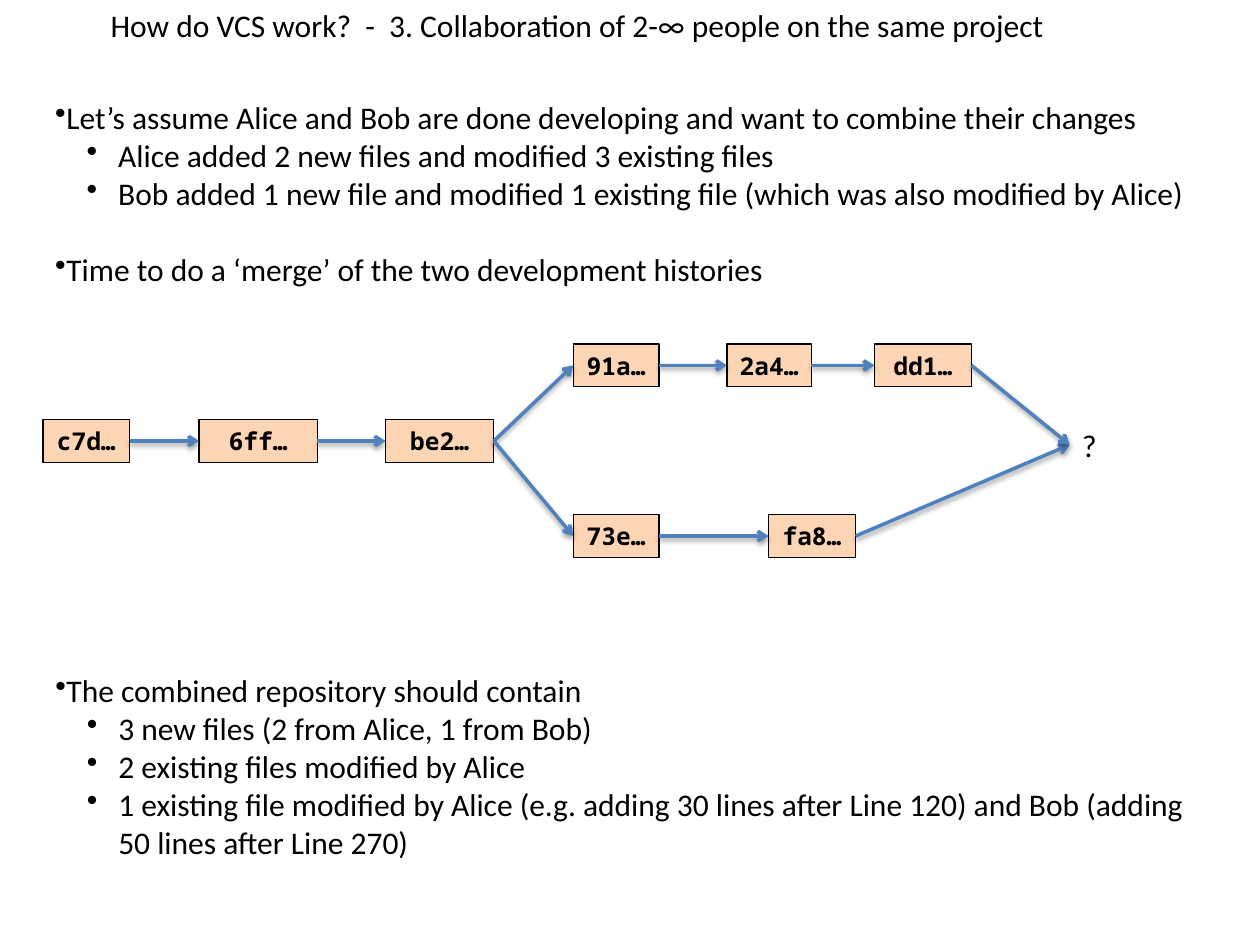
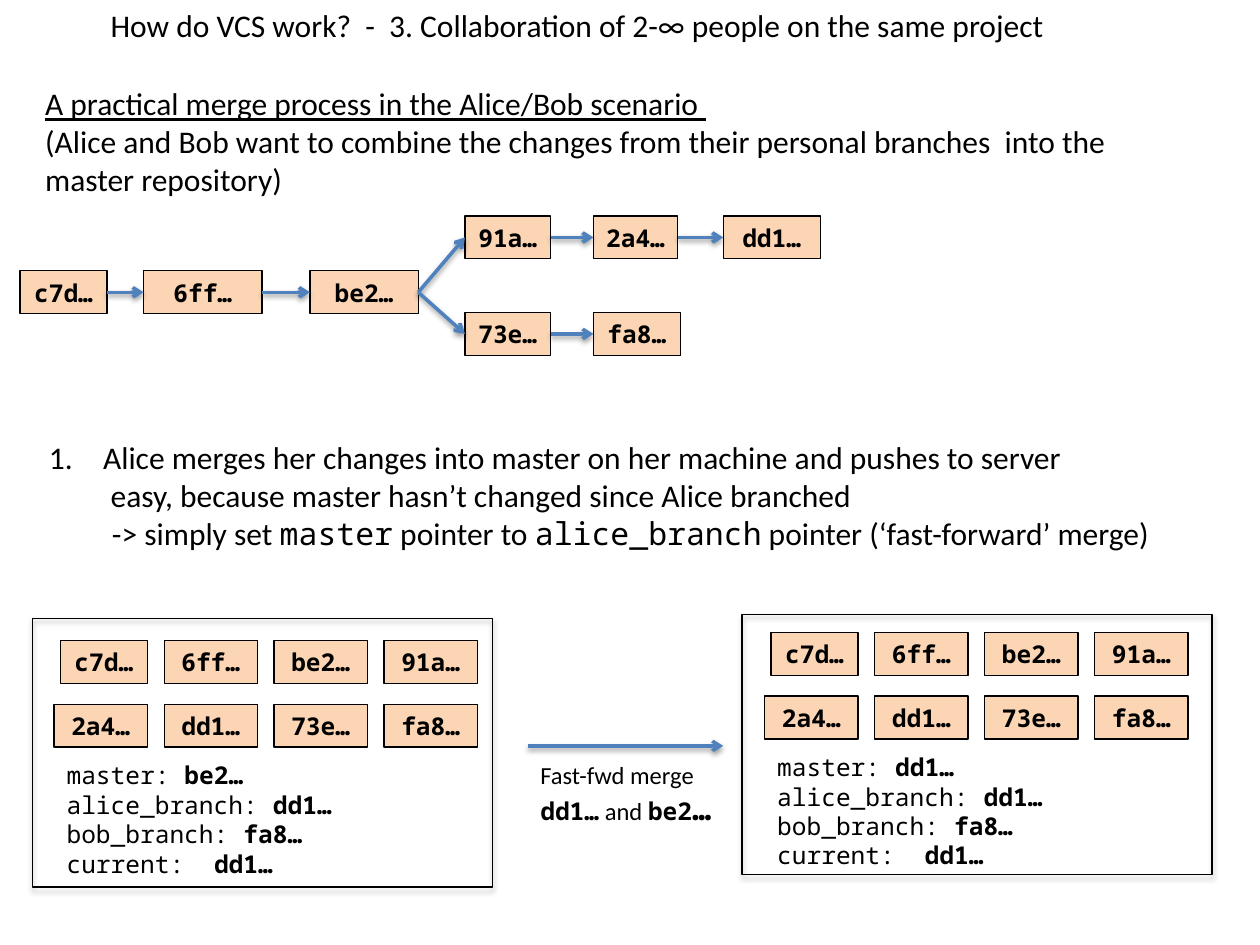
from dataclasses import dataclass, field

import pptx
import pptx.dml.color
import pptx.enum.shapes
import pptx.enum.text
import pptx.oxml
import pptx.oxml.ns
import pptx.util


@dataclass(frozen=True)
class Style:
    font: str
    size: int
    bold: bool = False
    underline: bool = False


@dataclass(frozen=True)
class Theme:
    ink: str = "000000"
    commit_fill: str = "FCD5B5"
    arrow: str = "4F81BD"
    body: Style = Style("Calibri", 18)
    heading: Style = Style("Calibri", 18, underline=True)
    code: Style = Style("Noto Sans Mono", 18)
    caption: Style = Style("Calibri", 14)
    pointer: Style = Style("Noto Sans Mono", 14)
    commit: Style = Style("Noto Sans Mono", 14, bold=True)
    ellipsis: Style = Style("Noto Sans Mono", 18, bold=True)
    outline_width: float = 0.75
    arrow_width: float = 2


@dataclass(frozen=True)
class Paragraph:
    """Spans are (text, style) pairs; left and first are indents in grid columns."""
    spans: list
    bullet: str = ""
    left: float = 0
    first: float = 0
    gap: float = 0


@dataclass
class CommitGraph:
    """Left column of every commit, and the row of every lane."""
    columns: list
    lanes: dict = field(default_factory=dict)


THEME = Theme()
SLIDE_WIDTH = pptx.util.Inches(10)
SLIDE_HEIGHT = pptx.util.Inches(7.5)
GRID_COLUMNS = 100
COMMIT_HEIGHT = 3.4
CHIP_WIDTH, CHIP_PITCH, CHIP_ROW_PITCH = 7.4, 8.73, 5.05
NARROW_CHIP_WIDTH = 6.9
TITLE = "How do VCS work?  -  3. Collaboration of 2-∞ people on the same project"

COMMITS = [  # hash, lane, width
    ("c7d…", "master", 6.9), ("6ff…", "master", 9.4), ("be2…", "master", 8.6),
    ("91a…", "alice", 6.8), ("2a4…", "alice", 6.7), ("dd1…", "alice", 7.7),
    ("73e…", "bob", 6.8), ("fa8…", "bob", 6.9),
]
HISTORY = [
    ("c7d…", "6ff…"), ("6ff…", "be2…"), ("be2…", "91a…"), ("91a…", "2a4…"),
    ("2a4…", "dd1…"), ("be2…", "73e…"), ("73e…", "fa8…"),
]
CHIP_ROWS = [["c7d…", "6ff…", "be2…", "91a…"], ["2a4…", "dd1…", "73e…", "fa8…"]]


def grid(*cells):
    """Turn columns and rows of the square grid into slide lengths."""
    return [round(cell * SLIDE_WIDTH / GRID_COLUMNS) for cell in cells]


def colour(value):
    return pptx.dml.color.RGBColor.from_string(value)


def child(parent, tag, **attributes):
    node = pptx.oxml.parse_xml(f"<{tag} {pptx.oxml.ns.nsdecls('a')}/>")
    for name, value in attributes.items():
        node.set(name, str(value))
    parent.append(node)
    return node


def add_shadow(shape, opacity, blur, distance):
    """Drop a black shadow straight down; opacity in percent, lengths in points."""
    effects = child(shape.element.spPr, "a:effectLst")
    shadow = child(effects, "a:outerShdw", blurRad=pptx.util.Pt(blur),
                   dist=pptx.util.Pt(distance), dir=90 * 60000, rotWithShape=0)
    black = child(shadow, "a:srgbClr", val=THEME.ink)
    child(black, "a:alpha", val=opacity * 1000)


def add_span(para, text, style):
    span = para.add_run()
    span.text = text
    span.font.name = style.font
    span.font.size = pptx.util.Pt(style.size)
    span.font.bold = style.bold
    span.font.underline = style.underline
    span.font.color.rgb = colour(THEME.ink)


def format_paragraph(para, content):
    properties = para._p.get_or_add_pPr()
    left, first = grid(content.left, content.first)
    properties.set("marL", str(left))
    properties.set("indent", str(first))
    if content.bullet == "1.":
        child(properties, "a:buAutoNum", type="arabicPeriod")
    elif content.bullet:
        child(properties, "a:buChar", char=content.bullet)
    else:
        child(properties, "a:buNone")
    if content.gap:
        para.space_before = pptx.util.Pt(content.gap)


def add_text(page, area, paragraphs):
    box = page.shapes.add_textbox(*grid(*area))
    frame = box.text_frame
    frame.word_wrap = True
    for index, content in enumerate(paragraphs):
        para = frame.add_paragraph() if index else frame.paragraphs[0]
        format_paragraph(para, content)
        for text, style in content.spans:
            add_span(para, text, style)
    return box


def body(text, **layout):
    return Paragraph([(text, THEME.body)], **layout)


def bullet(text, gap=0):
    return body(text, bullet="•", gap=gap)


def sub_bullet(text):
    return body(text, bullet="•", left=5, first=-2.5)


def add_rectangle(page, area):
    box = page.shapes.add_shape(pptx.enum.shapes.MSO_SHAPE.RECTANGLE, *grid(*area))
    box.shadow.inherit = False
    box.line.color.rgb = colour(THEME.ink)
    box.line.width = pptx.util.Pt(THEME.outline_width)
    return box


def add_commit(page, name, column, row, width):
    box = add_rectangle(page, (column, row, width, COMMIT_HEIGHT))
    box.fill.solid()
    box.fill.fore_color.rgb = colour(THEME.commit_fill)
    frame = box.text_frame
    frame.margin_left = frame.margin_right = 0
    frame.margin_top = frame.margin_bottom = 0
    frame.vertical_anchor = pptx.enum.text.MSO_ANCHOR.MIDDLE
    para = frame.paragraphs[0]
    para.alignment = pptx.enum.text.PP_ALIGN.CENTER
    add_span(para, name, THEME.commit)
    return box


def add_arrow(page, start=(0, 0), end=(0, 0)):
    arrow = page.shapes.add_connector(
        pptx.enum.shapes.MSO_CONNECTOR.STRAIGHT, *grid(*start, *end))
    arrow.line.color.rgb = colour(THEME.arrow)
    arrow.line.width = pptx.util.Pt(THEME.arrow_width)
    line = arrow.element.spPr.find(pptx.oxml.ns.qn("a:ln"))
    child(line, "a:tailEnd", type="arrow")
    add_shadow(arrow, 38, 3.1, 1.6)
    return arrow


def join(page, earlier, later):
    """Draw an arrow from the right side of one box to the left side of another."""
    arrow = add_arrow(page)
    arrow.begin_connect(earlier, 3)
    arrow.end_connect(later, 1)


def add_commit_graph(page, graph):
    boxes = {}
    for (name, lane, width), column in zip(COMMITS, graph.columns):
        boxes[name] = add_commit(page, name, column, graph.lanes[lane], width)
    for earlier, later in HISTORY:
        join(page, boxes[earlier], boxes[later])
    return boxes


def add_repository(page, area, column, row, master):
    """Frame a repository; its commits start at column, row."""
    frame = add_rectangle(page, area)
    frame.fill.background()
    frame.element.spPr.remove(frame.element.spPr.find(pptx.oxml.ns.qn("a:effectLst")))
    add_shadow(frame, 35, 3.1, 1.8)
    for row_index, names in enumerate(CHIP_ROWS):
        for column_index, name in enumerate(names):
            width = NARROW_CHIP_WIDTH if name == "c7d…" else CHIP_WIDTH
            right = column + column_index * CHIP_PITCH + CHIP_WIDTH
            add_commit(page, name, right - width, row + row_index * CHIP_ROW_PITCH, width)
    pointers = [("master: ", master), ("alice_branch: ", "dd1…"),
                ("bob_branch: ", "fa8…"), ("current:  ", "dd1…")]
    add_text(page, (column, row + 9, 24.9, 10.4), [
        Paragraph([(label, THEME.pointer), (commit, THEME.commit)])
        for label, commit in pointers])


def add_page(deck):
    page = deck.slides.add_slide(deck.slide_layouts[6])
    add_text(page, (7.8, 0, 88.4, 4), [body(TITLE)])
    return page


def build_merge_question(deck):
    page = add_page(deck)
    add_text(page, (3.4, 7.3, 96.6, 16.2), [
        bullet("Let’s assume Alice and Bob are done developing and want to combine their changes"),
        sub_bullet("Alice added 2 new files and modified 3 existing files"),
        sub_bullet("Bob added 1 new file and modified 1 existing file "
                   "(which was also modified by Alice)"),
        bullet("Time to do a ‘merge’ of the two development histories", gap=22),
    ])
    add_text(page, (3.4, 52.8, 92.9, 16.2), [
        bullet("The combined repository should contain"),
        sub_bullet("3 new files (2 from Alice, 1 from Bob)"),
        sub_bullet("2 existing files modified by Alice"),
        sub_bullet("1 existing file modified by Alice (e.g. adding 30 lines after Line 120) "
                   "and Bob (adding 50 lines after Line 270)"),
    ])
    boxes = add_commit_graph(page, CommitGraph(
        [3.4, 15.8, 30.6, 45.5, 57.7, 69.4, 45.5, 61],
        {"master": 33.3, "alice": 27.3, "bob": 40.85}))
    question = add_text(page, (84.9, 33.3, 6.9, 4), [body("?")])
    for branch_tip in ("fa8…", "dd1…"):
        join(page, boxes[branch_tip], question)


def build_fast_forward(deck):
    page = add_page(deck)
    add_text(page, (2.6, 6.2, 88.8, 10.1), [
        Paragraph([("A practical merge process in the Alice/Bob scenario ", THEME.heading)]),
        body("(Alice and Bob want to combine the changes from their personal branches  "
             "into the master repository)"),
    ])
    add_text(page, (2.9, 34.3, 93.7, 10.1), [
        body("Alice merges her changes into master on her machine and pushes to server",
             bullet="1.", left=4.3, first=-4.3),
        body("easy, because master hasn’t changed since Alice branched", left=4.9),
        Paragraph([("-> simply set ", THEME.body), ("master", THEME.code),
                   (" pointer to ", THEME.body), ("alice_branch", THEME.code),
                   (" pointer (‘fast-forward’ merge)", THEME.body)], left=5),
    ])
    add_commit_graph(page, CommitGraph(
        [1.6, 11.4, 24.6, 36.9, 47.1, 57.4, 36.9, 47.1],
        {"master": 21.5, "alice": 17.15, "bob": 24.8}))
    add_repository(page, (2.6, 49.1, 36.5, 21.3), 4.3, 50.85, "be2…")
    add_repository(page, (58.9, 48.8, 37.3, 20.6), 60.7, 50.2, "dd1…")
    add_arrow(page, (41.9, 59.2), (57.4, 59.2))
    add_text(page, (41.9, 59.8, 15.6, 6.4), [
        Paragraph([("Fast-fwd merge ", THEME.caption), ("dd1…", THEME.commit),
                   (" and ", THEME.caption), ("be2", THEME.commit),
                   ("…", THEME.ellipsis)]),
    ])


def main():
    deck = pptx.Presentation()
    deck.slide_width, deck.slide_height = SLIDE_WIDTH, SLIDE_HEIGHT
    build_merge_question(deck)
    build_fast_forward(deck)
    deck.save("out.pptx")


if __name__ == "__main__":
    main()
